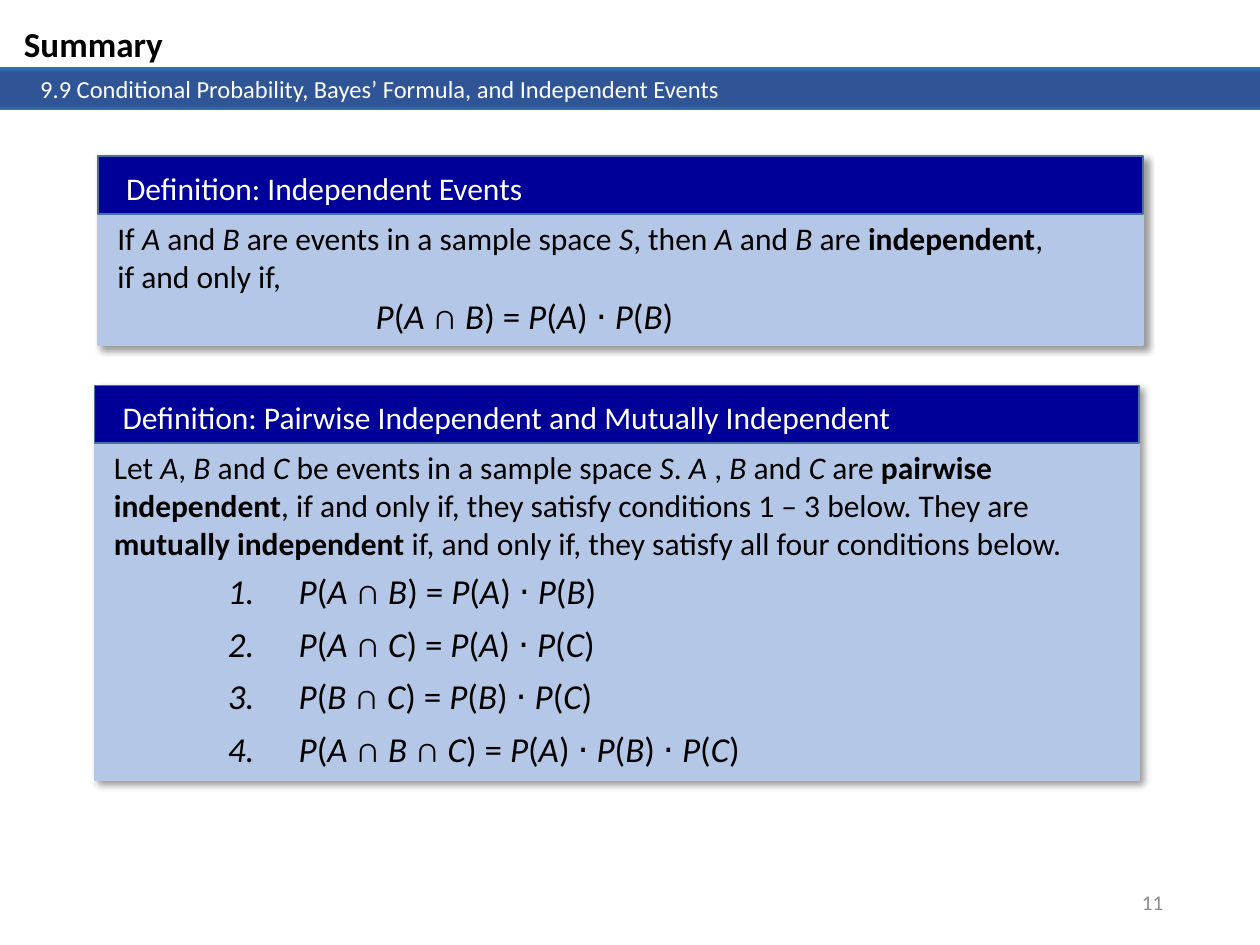
import pptx
import pptx.util
import pptx.dml.color
import pptx.enum.shapes
import pptx.enum.text
import pptx.oxml
import pptx.oxml.ns

Pt = pptx.util.Pt
RGB = pptx.dml.color.RGBColor.from_string
ALIGN = pptx.enum.text.PP_ALIGN
ANCHOR = pptx.enum.text.MSO_ANCHOR

THEME = {
    "font": "Calibri", "ink": "000000", "white": "FFFFFF", "gray": "8C8C8C",
    "panel": "B4C7E7", "head": "000099", "edge": "43739E",
    "band": [(0, "2E75B6"), (11, "2F5597"), (91, "2F5597"), (100, "2E75B6")],
    "title": 20, "math": 20, "text": 18, "bar": 14, "page": 12,
}

# *italic*  ^bold^
TITLE = "Summary"
TOPIC = "9.9 Conditional Probability, Bayes’ Formula, and Independent Events"
PAGE = "11"
BARS = [(38.2, 21.6, ""), (38.9, 23.8, TOPIC)]
PANELS = [
    {"at": (56, 89.3, 597, 108), "wide": 548,
     "head": "Definition: Independent Events",
     "text": "If *A* and *B* are events in a sample space *S*, then *A* and *B* are "
             "^independent^, if and only if,",
     "math": "*P*(*A* ∩ *B*) = *P*(*A*) ⋅ *P*(*B*)"},
    {"at": (54, 220.3, 597, 225.4), "wide": 579,
     "head": "Definition: Pairwise Independent and Mutually Independent",
     "text": "Let *A*, *B* and *C* be events in a sample space *S*. *A* , *B* and *C* are "
             "^pairwise independent^, if and only if, they satisfy conditions 1 – 3 below. "
             "They are ^mutually independent ^if, and only if, they satisfy all four "
             "conditions below.",
     "math": ""},
]
RULES = [
    "*P*(*A* ∩ *B*) = *P*(*A*) ⋅ *P*(*B*)",
    "*P*(*A* ∩ *C*) = *P*(*A*) ⋅ *P*(*C*)",
    "*P*(*B* ∩ *C*) = *P*(*B*) ⋅ *P*(*C*)",
    "*P*(*A* ∩ *B *∩ *C*) = *P*(*A*) ⋅ *P*(*B*) ⋅ *P*(*C*)",
]


def make(tag, **attrs):
    node = pptx.oxml.parse_xml(f"<a:{tag} {pptx.oxml.ns.nsdecls('a')}/>")
    for key, value in attrs.items():
        node.set(key, str(value))
    return node


def color(value):
    return make("srgbClr", val=value)


def place(shape, box):
    shape.left, shape.top, shape.width, shape.height = map(Pt, box)


def setup(shape, anchor=ANCHOR.TOP):
    frame = shape.text_frame
    frame.word_wrap = True
    frame.auto_size = pptx.enum.text.MSO_AUTO_SIZE.NONE
    frame.vertical_anchor = anchor
    return frame


def write(para, text, size, ink="ink", bold=False, align=ALIGN.LEFT, after=0):
    para.alignment = align
    para.space_before, para.space_after = Pt(0), Pt(after)
    for i, part in enumerate(text.split("*")):
        for j, piece in enumerate(part.split("^")):
            if piece:
                run = para.add_run()
                run.text = piece
                font = run.font
                font.name, font.size = THEME["font"], Pt(THEME[size])
                font.color.rgb = RGB(THEME[ink])
                font.italic, font.bold = i % 2 == 1, bold or j % 2 == 1


def indent(para, left, first=0):
    props = para._p.get_or_add_pPr()
    props.set("marL", str(Pt(left)))
    props.set("indent", str(Pt(first)))
    return props


def label(shapes, box):
    shape = shapes.add_textbox(*map(Pt, box))
    return setup(shape)


def block(shapes, box, fill=None, line=None):
    shape = shapes.add_shape(pptx.enum.shapes.MSO_SHAPE.RECTANGLE, *map(Pt, box))
    shape.shadow.inherit = False
    if fill:
        shape.fill.solid()
        shape.fill.fore_color.rgb = RGB(THEME[fill])
    if line:
        shape.line.color.rgb = RGB(THEME[line])
        shape.line.width = Pt(1)
    else:
        shape.line.fill.background()
    return shape


def blend(shape):
    grad, stops = make("gradFill", rotWithShape=1), make("gsLst")
    for spot, value in THEME["band"]:
        stop = make("gs", pos=spot * 1000)
        stop.append(color(value))
        stops.append(stop)
    grad.append(stops)
    grad.append(make("lin", ang=90 * 60000, scaled=0))
    shape.fill.background()
    props = shape._element.spPr
    props.replace(props.find(pptx.oxml.ns.qn("a:noFill")), grad)


def shade(shape):
    cast = make("outerShdw", blurRad=Pt(4), dist=Pt(3), dir=45 * 60000,
                algn="tl", rotWithShape=0)
    tint = color(THEME["ink"])
    tint.append(make("alpha", val=40000))
    cast.append(tint)
    shape._element.spPr.find(pptx.oxml.ns.qn("a:effectLst")).append(cast)


def panel(slide, item):
    left, top, width, height = item["at"]
    shapes = slide.shapes.add_group_shape().shapes
    shade(block(shapes, item["at"], "panel", "panel"))
    block(shapes, (left, top, width, 33), "head", "edge")
    frame = label(shapes, (left + 9, top + 3.6, item["wide"], 29))
    write(frame.paragraphs[0], item["head"], "text", "white")
    frame = label(shapes, (left + 4, top + 32.4, item["wide"], 74))
    write(frame.paragraphs[0], item["text"], "text")
    if item["math"]:
        para = frame.add_paragraph()
        write(para, item["math"], "math", after=6)
        indent(para, 147.6)


def main():
    deck = pptx.Presentation()
    deck.slide_width, deck.slide_height = Pt(720), Pt(540)
    slide = deck.slides.add_slide(deck.slide_layouts[1])
    title, body = slide.placeholders

    for top, height, text in BARS:
        bar = block(slide.shapes, (0, top, 720, height))
        blend(bar)
        if text:
            frame = setup(bar)
            frame.margin_left = Pt(23)
            write(frame.paragraphs[0], text, "bar", "white")

    for item in PANELS:
        panel(slide, item)

    tree = title._element.getparent()
    for holder in (title, body):
        tree.append(holder._element)
    place(title, (6.5, 9.4, 194, 31.5))
    write(setup(title).paragraphs[0], TITLE, "title", bold=True)

    place(body, (123, 322, 335.5, 122.4))
    frame = setup(body)
    for i, rule in enumerate(RULES):
        para = frame.add_paragraph() if i else frame.paragraphs[0]
        write(para, rule, "math", after=6)
        props = indent(para, 40.5, -40.5)
        props.append(make("buFont", typeface="+mj-lt"))
        props.append(make("buAutoNum", type="arabicPeriod"))

    frame = label(slide.shapes, (509.8, 501, 162, 28.8))
    frame.vertical_anchor = ANCHOR.MIDDLE
    write(frame.paragraphs[0], PAGE, "page", "gray", align=ALIGN.RIGHT)
    deck.save("out.pptx")


if __name__ == "__main__":
    main()
